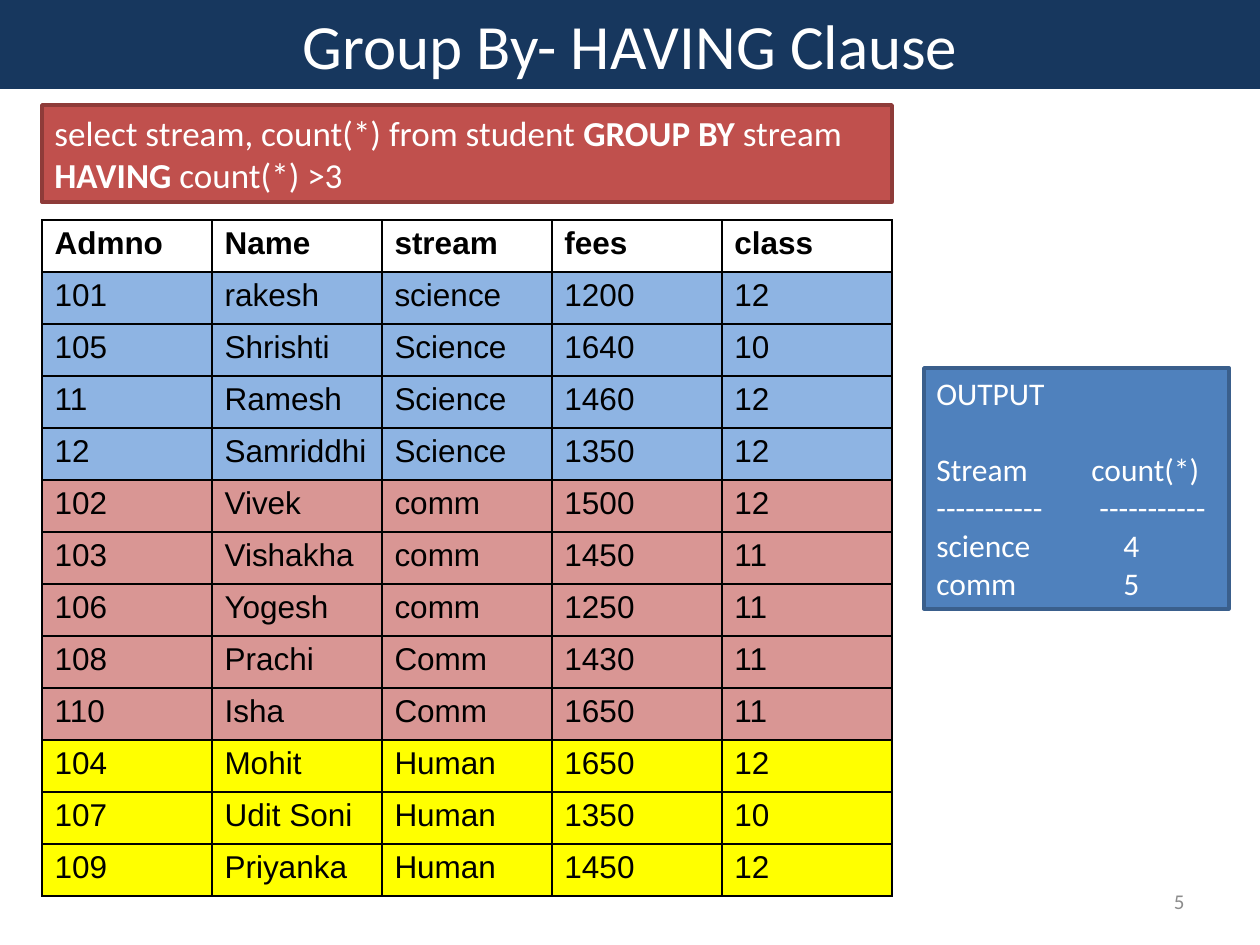
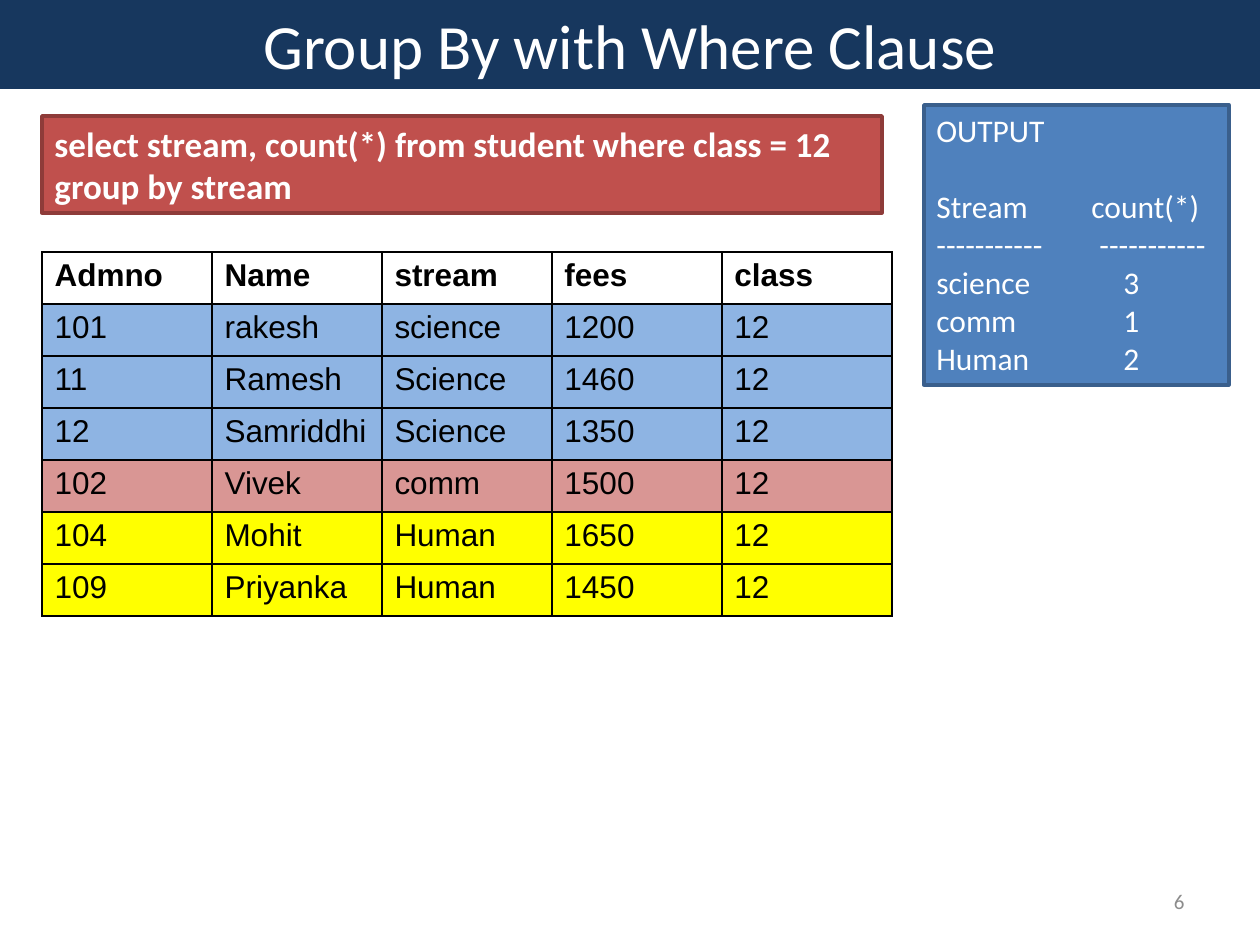
import pptx
import pptx.dml.color
import pptx.enum.shapes
import pptx.enum.text
import pptx.oxml.ns
import pptx.util
from lxml import etree

EMU_PER_PX = 914400 / 126
PAGE_WIDTH, PAGE_HEIGHT = 1260, 945
LEFT = 42
COLUMN_WIDTH, ROW_HEIGHT = 170, 52
TITLE_ONLY = 5
ALIGN = pptx.enum.text.PP_ALIGN
ANCHOR = pptx.enum.text.MSO_ANCHOR

COLORS = {
    "title": "17375E", "white": "FFFFFF", "black": "000000", "number": "8C8C8C",
    "query": "C0504D", "query_line": "8E3B39",
    "output": "4F81BD", "output_line": "3A5F8C",
    "science": "8EB4E3", "comm": "D99694", "human": "FFFF00",
}

HEADINGS = ("Admno", "Name", "stream", "fees", "class")
STUDENTS = [
    ("101", "rakesh", "science", "1200", "12"),
    ("105", "Shrishti", "Science", "1640", "10"),
    ("11", "Ramesh", "Science", "1460", "12"),
    ("12", "Samriddhi", "Science", "1350", "12"),
    ("102", "Vivek", "comm", "1500", "12"),
    ("103", "Vishakha", "comm", "1450", "11"),
    ("106", "Yogesh", "comm", "1250", "11"),
    ("108", "Prachi", "Comm", "1430", "11"),
    ("110", "Isha", "Comm", "1650", "11"),
    ("104", "Mohit", "Human", "1650", "12"),
    ("107", "Udit Soni", "Human", "1350", "10"),
    ("109", "Priyanka", "Human", "1450", "12"),
]


def px(length):
    return pptx.util.Emu(round(length * EMU_PER_PX))


def rgb(name):
    return pptx.dml.color.RGBColor.from_string(COLORS[name])


def add_span(para, text, size, color="white", bold=False, font="Calibri"):
    span = para.add_run()
    span.text = text
    span.font.name = font
    span.font.size = pptx.util.Pt(size)
    span.font.bold = bold
    span.font.color.rgb = rgb(color)


def fill_solid(target, color):
    target.fill.solid()
    target.fill.fore_color.rgb = rgb(color)


def add_title(page, text):
    title = page.shapes.title
    title.left, title.top, title.width, title.height = 0, 0, px(PAGE_WIDTH), px(89)
    fill_solid(title, "title")
    title.text_frame.vertical_anchor = ANCHOR.TOP
    para = title.text_frame.paragraphs[0]
    para.alignment = ALIGN.CENTER
    add_span(para, text, 36)


def add_page_number(page, number):
    box = page.shapes.add_textbox(px(903), px(876), px(294), px(50))
    box.text_frame.word_wrap = True
    box.text_frame.vertical_anchor = ANCHOR.MIDDLE
    para = box.text_frame.paragraphs[0]
    para.alignment = ALIGN.RIGHT
    add_span(para, str(number), 12, "number")


def add_panel(page, left, top, width, height, color):
    """Add a filled, outlined rectangle and return its text frame."""
    panel = page.shapes.add_shape(pptx.enum.shapes.MSO_SHAPE.RECTANGLE,
                                  px(left), px(top), px(width), px(height))
    panel.shadow.inherit = False
    fill_solid(panel, color)
    panel.line.color.rgb = rgb(color + "_line")
    panel.line.width = pptx.util.Pt(2)
    frame = panel.text_frame
    frame.word_wrap = True
    frame.vertical_anchor = ANCHOR.TOP
    frame.paragraphs[0].alignment = ALIGN.LEFT
    return frame


def add_query(page, top, width, spans):
    para = add_panel(page, LEFT, top, width, 97, "query").paragraphs[0]
    for text, bold in spans:
        add_span(para, text, 20, bold=bold)


def add_tab_stop(para, position):
    tabs = etree.SubElement(para._p.get_or_add_pPr(), pptx.oxml.ns.qn("a:tabLst"))
    etree.SubElement(tabs, pptx.oxml.ns.qn("a:tab"), pos=str(px(position)), algn="l")


def add_output(page, top, height, counts):
    frame = add_panel(page, 924, top, 305, height, "output")
    heading = frame.paragraphs[0]
    heading.space_after = pptx.util.Pt(22)
    add_span(heading, "OUTPUT", 18)
    # Each line has its second column at its own tab stop
    lines = [("Stream", "count(*)", 155), ("-" * 11, "-" * 11, 163)]
    lines += [(stream, count, 187) for stream, count in counts]
    for first, second, position in lines:
        para = frame.add_paragraph()
        para.alignment = ALIGN.LEFT
        add_tab_stop(para, position)
        add_span(para, f"{first}\t{second}", 18)


def add_borders(cell):
    properties = cell._tc.get_or_add_tcPr()
    for side in ("lnL", "lnR", "lnT", "lnB"):
        line = etree.SubElement(properties, pptx.oxml.ns.qn("a:" + side),
                                w=str(pptx.util.Pt(1)))
        solid = etree.SubElement(line, pptx.oxml.ns.qn("a:solidFill"))
        etree.SubElement(solid, pptx.oxml.ns.qn("a:srgbClr"), val=COLORS["black"])


def add_student_table(page, top, students):
    rows = [HEADINGS, *students]
    table = page.shapes.add_table(len(rows), len(HEADINGS), px(LEFT), px(top),
                                  px(COLUMN_WIDTH * len(HEADINGS)),
                                  px(ROW_HEIGHT * len(rows))).table
    table.first_row = table.horz_banding = False
    for column in table.columns:
        column.width = px(COLUMN_WIDTH)
    for index, values in enumerate(rows):
        table.rows[index].height = px(ROW_HEIGHT)
        is_heading = index == 0
        # The stream decides the colour of a student's row
        color = "white" if is_heading else values[2].lower()
        for cell, value in zip(table.rows[index].cells, values):
            add_borders(cell)
            fill_solid(cell, color)
            add_span(cell.text_frame.paragraphs[0], value, 18, "black",
                     is_heading, "Arial")


def add_page(deck, title, number):
    page = deck.slides.add_slide(deck.slide_layouts[TITLE_ONLY])
    add_title(page, title)
    add_page_number(page, number)
    return page


def main():
    deck = pptx.Presentation()
    deck.slide_width, deck.slide_height = px(PAGE_WIDTH), px(PAGE_HEIGHT)

    # HAVING: all students, streams with more than three
    page = add_page(deck, "Group By- HAVING Clause", 5)
    add_student_table(page, 220, STUDENTS)
    add_output(page, 368, 241, [("science", "4"), ("comm", "5")])
    add_query(page, 105, 850, [
        ("select stream, count(*) from student ", False), ("GROUP BY", True),
        (" stream ", False), ("HAVING", True), (" count(*) >3", False)])

    # WHERE: only the students of class 12
    page = add_page(deck, "Group By with Where Clause", 6)
    add_student_table(page, 252, [row for row in STUDENTS if row[4] == "12"])
    add_output(page, 105, 280, [("science", "3"), ("comm", "1"), ("Human", "2")])
    add_query(page, 116, 840, [
        ("select stream, count(*) from student where class = 12 group by stream", True)])

    deck.save("out.pptx")


if __name__ == "__main__":
    main()
